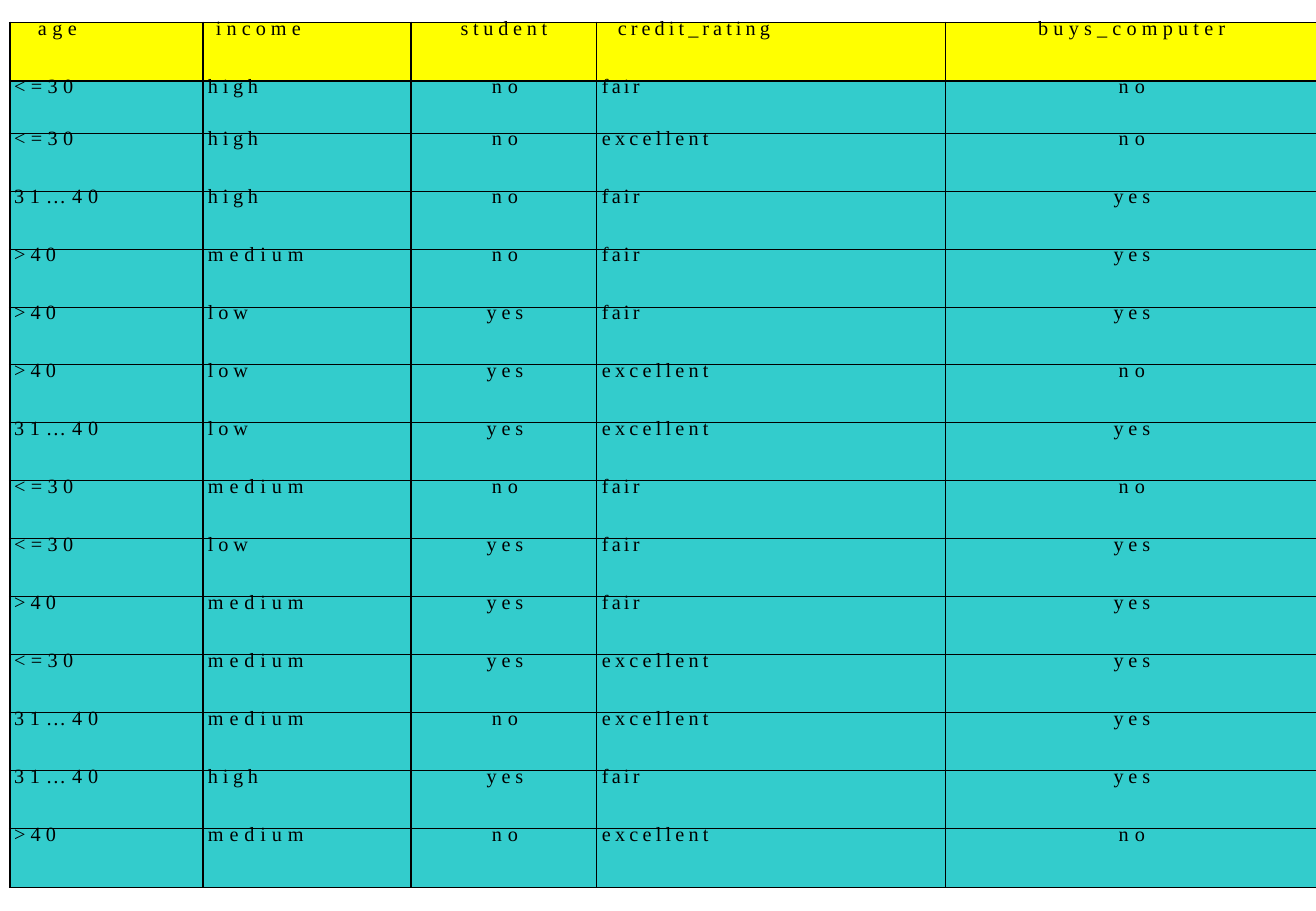
from lxml.etree import SubElement
from pptx import Presentation
from pptx.dml.color import RGBColor
from pptx.enum.text import PP_ALIGN
from pptx.oxml.ns import qn
from pptx.util import Pt

EMU_PER_PX = 914400 / 121.5
COLORS = {"header": "FFFF00", "body": "33CCCC", "ink": "000000"}
FONT = "Times New Roman"
FONT_SIZE = 12
THIN, MEDIUM, THICK = 0.5, 0.75, 1.5

HEADER = ["age", "income", "student", "credit_rating", "buys_computer"]
RECORDS = [
    ["<=30", "high", "no", "fair", "no"],
    ["<=30", "high", "no", "excellent", "no"],
    ["31…40", "high", "no", "fair", "yes"],
    [">40", "medium", "no", "fair", "yes"],
    [">40", "low", "yes", "fair", "yes"],
    [">40", "low", "yes", "excellent", "no"],
    ["31…40", "low", "yes", "excellent", "yes"],
    ["<=30", "medium", "no", "fair", "no"],
    ["<=30", "low", "yes", "fair", "yes"],
    [">40", "medium", "yes", "fair", "yes"],
    ["<=30", "medium", "yes", "excellent", "yes"],
    ["31…40", "medium", "no", "excellent", "yes"],
    ["31…40", "high", "yes", "fair", "yes"],
    [">40", "medium", "no", "excellent", "no"],
]
COLUMN_WIDTHS = [193, 208, 186, 349, 371]
ROW_HEIGHTS = [59, 52] + [58] * 12 + [59]
HEADER_INDENTS = [28, 13, 0, 21, 1]
BODY_INDENTS = [4, 5, 2, 5, 1]
CENTERED_COLUMNS = {2, 4}
LETTER_SPACING = {
    "age": 3.2, "income": 3, "student": 2.8, "credit_rating": 2.4,
    "buys_computer": 3.1, "<=30": 3.2, "31…40": 3.5, ">40": 3.1,
    "high": 2.8, "medium": 3.5, "low": 2.9, "no": 3.6, "yes": 2.9,
    "fair": 1.9, "excellent": 2.5,
}


def px(length):
    return round(length * EMU_PER_PX)


class SlideBuilder:
    def __init__(self, presentation):
        self.slide = presentation.slides.add_slide(presentation.slide_layouts[6])

    def table(self, left, top, rows):
        table = self.slide.shapes.add_table(
            len(rows), len(COLUMN_WIDTHS), px(left), px(top),
            px(sum(COLUMN_WIDTHS)), px(sum(ROW_HEIGHTS))).table
        table.first_row = False
        table.horz_banding = False
        for column, width in zip(table.columns, COLUMN_WIDTHS):
            column.width = px(width)
        for row, height in zip(table.rows, ROW_HEIGHTS):
            row.height = px(height)
        last_row, last_column = len(rows) - 1, len(COLUMN_WIDTHS) - 1
        for row_index, values in enumerate(rows):
            is_header = row_index == 0
            indents = HEADER_INDENTS if is_header else BODY_INDENTS
            is_edge_row = row_index in (0, last_row)
            for column_index, value in enumerate(values):
                cell = table.cell(row_index, column_index)
                self.borders(cell, {
                    "L": THICK if column_index == 0 else MEDIUM,
                    "R": THICK if column_index == last_column else MEDIUM,
                    "T": MEDIUM if row_index == 1 else THIN,
                    "B": MEDIUM if is_edge_row else THIN,
                })
                cell.fill.solid()
                cell.fill.fore_color.rgb = RGBColor.from_string(
                    COLORS["header" if is_header else "body"])
                self.cell_text(cell, value, indents[column_index],
                               column_index in CENTERED_COLUMNS,
                               10.5 if is_edge_row else 10.3)

    def borders(self, cell, widths):
        properties = cell._tc.get_or_add_tcPr()
        for side, width in widths.items():
            line = SubElement(properties, qn(f"a:ln{side}"), w=str(Pt(width)))
            fill = SubElement(line, qn("a:solidFill"))
            SubElement(fill, qn("a:srgbClr"), val=COLORS["ink"])

    def cell_text(self, cell, text, indent, centered, line_spacing):
        cell.margin_left = cell.margin_right = 0
        cell.margin_top = cell.margin_bottom = 0
        paragraph = cell.text_frame.paragraphs[0]
        paragraph.alignment = PP_ALIGN.CENTER if centered else PP_ALIGN.LEFT
        paragraph.line_spacing = Pt(line_spacing)
        paragraph_properties = paragraph._p.get_or_add_pPr()
        paragraph_properties.set("marL", str(px(indent)))
        paragraph_properties.set("indent", "0")
        run = paragraph.add_run()
        run.text = text
        run.font.name = FONT
        run.font.size = Pt(FONT_SIZE)
        run.font.color.rgb = RGBColor.from_string(COLORS["ink"])
        run._r.get_or_add_rPr().set("spc", str(round(LETTER_SPACING[text] * 100)))


def main():
    presentation = Presentation()
    presentation.slide_width = px(1316)
    presentation.slide_height = px(911)
    SlideBuilder(presentation).table(10, 22, [HEADER] + RECORDS)
    presentation.save("out.pptx")


if __name__ == "__main__":
    main()
